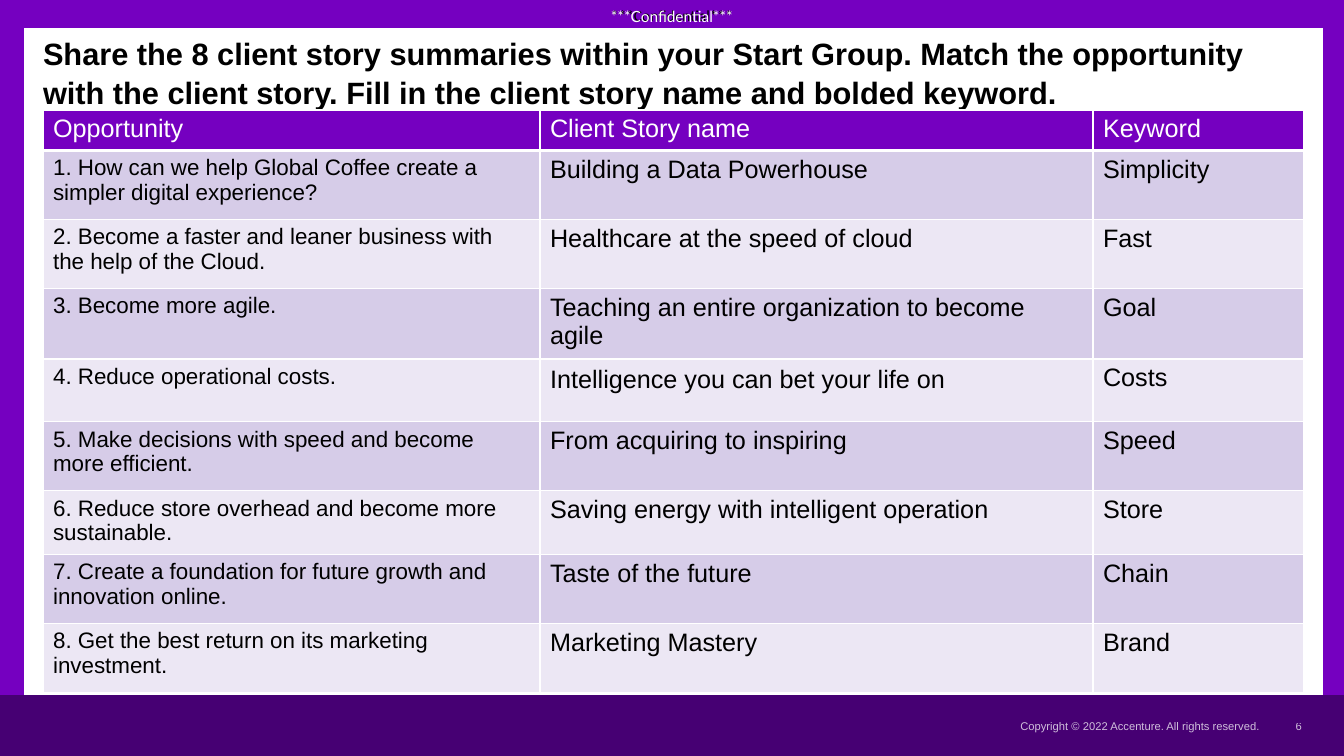
from dataclasses import dataclass
from lxml.etree import SubElement as Sub
from pptx import Presentation
from pptx.dml.color import RGBColor
from pptx.enum.shapes import MSO_SHAPE as Geo
from pptx.enum.text import MSO_ANCHOR as Anchor, PP_ALIGN as Align
from pptx.oxml.ns import qn
from pptx.util import Pt

SCALE = 12192000 / 1344
PURPLE, DEEP, WHITE, BLACK = "7500C0", "460073", "FFFFFF", "000000"
BANDS = "D6CCE8", "ECE7F4"
COLS = 497, 553, 211
HEAD, TALL, SHORT = 39, 69, 63


@dataclass
class Panel:
    box: tuple[int, int, int, int]
    fill: str


@dataclass
class Label:
    text: str
    box: tuple[int, int, int, int]
    size: int
    color: str = WHITE
    font: str = "Arial"
    align: Align = Align.LEFT
    anchor: Anchor = Anchor.TOP
    inset: tuple[int, int] = (0, 0)
    bold: bool = False
    alpha: int = 100
    wrap: bool = True
    lead: float = 1


@dataclass
class Story:
    task: str
    name: str
    key: str
    high: int = TALL
    lead: float = 1


PANELS = [Panel((0, 695, 1344, 61), DEEP), Panel((24, 28, 1299, 667), WHITE)]
LABELS = [
    Label("***Confidential***", (594, 0, 156, 31), 11, BLACK, "Calibri",
          Align.CENTER, Anchor.MIDDLE),
    Label("***Confidential***", (601, 2, 160, 29), 11, font="Lato",
          inset=(10, 5), wrap=False),
    Label("Copyright © 2022 Accenture. All rights reserved.", (917, 715, 343, 22), 8,
          align=Align.RIGHT, anchor=Anchor.MIDDLE, alpha=75),
    Label("6", (1260, 715, 42, 23), 8, align=Align.RIGHT, anchor=Anchor.MIDDLE, alpha=75),
    Label("Share the 8 client story summaries within your Start Group. Match the "
          "opportunity with the client story. Fill in the client story name and "
          "bolded keyword.", (43, 33, 1261, 93), 22, BLACK, bold=True, lead=1.05),
]
STORIES = [
    Story("1. How can we help Global Coffee create a simpler digital experience?",
          "Building a Data Powerhouse", "Simplicity"),
    Story("2. Become a faster and leaner business with the help of the Cloud.",
          "Healthcare at the speed of cloud", "Fast"),
    Story("3. Become more agile.", "Teaching an entire organization to become agile",
          "Goal", SHORT),
    Story("4. Reduce operational costs.", "Intelligence you can bet your life on",
          "Costs", SHORT, 1.07),
    Story("5. Make decisions with speed and become more efficient.",
          "From acquiring to inspiring", "Speed"),
    Story("6. Reduce store overhead and become more sustainable.",
          "Saving energy with intelligent operation", "Store", SHORT),
    Story("7. Create a foundation for future growth and innovation online.",
          "Taste of the future", "Chain"),
    Story("8. Get the best return on its marketing investment.",
          "Marketing Mastery", "Brand"),
]


def px(size: int) -> int:
    return round(size * SCALE)


def paint(fill, color: str) -> None:
    fill.solid()
    fill.fore_color.rgb = RGBColor.from_string(color)


def write(para, text: str, size: int, color: str, font: str = "Arial",
          bold: bool = False, alpha: int = 100) -> None:
    run = para.add_run()
    run.text = text
    run.font.size, run.font.name, run.font.bold = Pt(size), font, bold
    paint(run.font.fill, color)
    if alpha < 100:
        tint = run.font.fill._xPr.find(".//" + qn("a:srgbClr"))
        Sub(tint, qn("a:alpha"), val=str(alpha * 1000))


def add_panel(slide, panel: Panel) -> None:
    shape = slide.shapes.add_shape(Geo.RECTANGLE, *map(px, panel.box))
    shape.shadow.inherit = False
    paint(shape.fill, panel.fill)
    shape.line.fill.background()


def add_label(slide, label: Label) -> None:
    frame = slide.shapes.add_textbox(*map(px, label.box)).text_frame
    frame.word_wrap, frame.vertical_anchor = label.wrap, label.anchor
    frame.margin_left = frame.margin_right = px(label.inset[0])
    frame.margin_top = frame.margin_bottom = px(label.inset[1])
    para = frame.paragraphs[0]
    para.alignment, para.line_spacing = label.align, label.lead
    write(para, label.text, label.size, label.color, label.font, label.bold, label.alpha)


def fill_cell(cell, text: str, size: int, color: str, back: str,
              base: int = 1, lead: float = 1) -> None:
    para = cell.text_frame.paragraphs[0]
    para.line_spacing = lead
    write(para, text, size, color)
    props = cell._tc.get_or_add_tcPr()
    for side in "LRTB":
        width = base if side == "B" else 1
        line = Sub(props, qn(f"a:ln{side}"), w=str(Pt(width)))
        Sub(Sub(line, qn("a:solidFill")), qn("a:srgbClr"), val=WHITE)
    paint(cell.fill, back)


def add_grid(slide) -> None:
    highs = [HEAD] + [story.high for story in STORIES]
    box = 43, 110, sum(COLS), sum(highs)
    grid = slide.shapes.add_table(len(highs), len(COLS), *map(px, box)).table
    for col, width in zip(grid.columns, COLS):
        col.width = px(width)
    for row, high in zip(grid.rows, highs):
        row.height = px(high)
    for col, text in enumerate(("Opportunity", "Client Story name", "Keyword")):
        fill_cell(grid.cell(0, col), text, 18, WHITE, PURPLE, base=3)
    for row, story in enumerate(STORIES, 1):
        back = BANDS[(row - 1) % 2]
        fill_cell(grid.cell(row, 0), story.task, 16, BLACK, back)
        fill_cell(grid.cell(row, 1), story.name, 18, BLACK, back, lead=story.lead)
        fill_cell(grid.cell(row, 2), story.key, 18, BLACK, back)


def main() -> None:
    """Build the client story matching slide and save it."""
    deck = Presentation()
    deck.slide_width, deck.slide_height = px(1344), px(756)
    slide = deck.slides.add_slide(deck.slide_layouts[6])
    paint(slide.background.fill, PURPLE)
    for panel in PANELS:
        add_panel(slide, panel)
    for label in LABELS:
        add_label(slide, label)
    add_grid(slide)
    deck.save("out.pptx")


if __name__ == "__main__":
    main()
